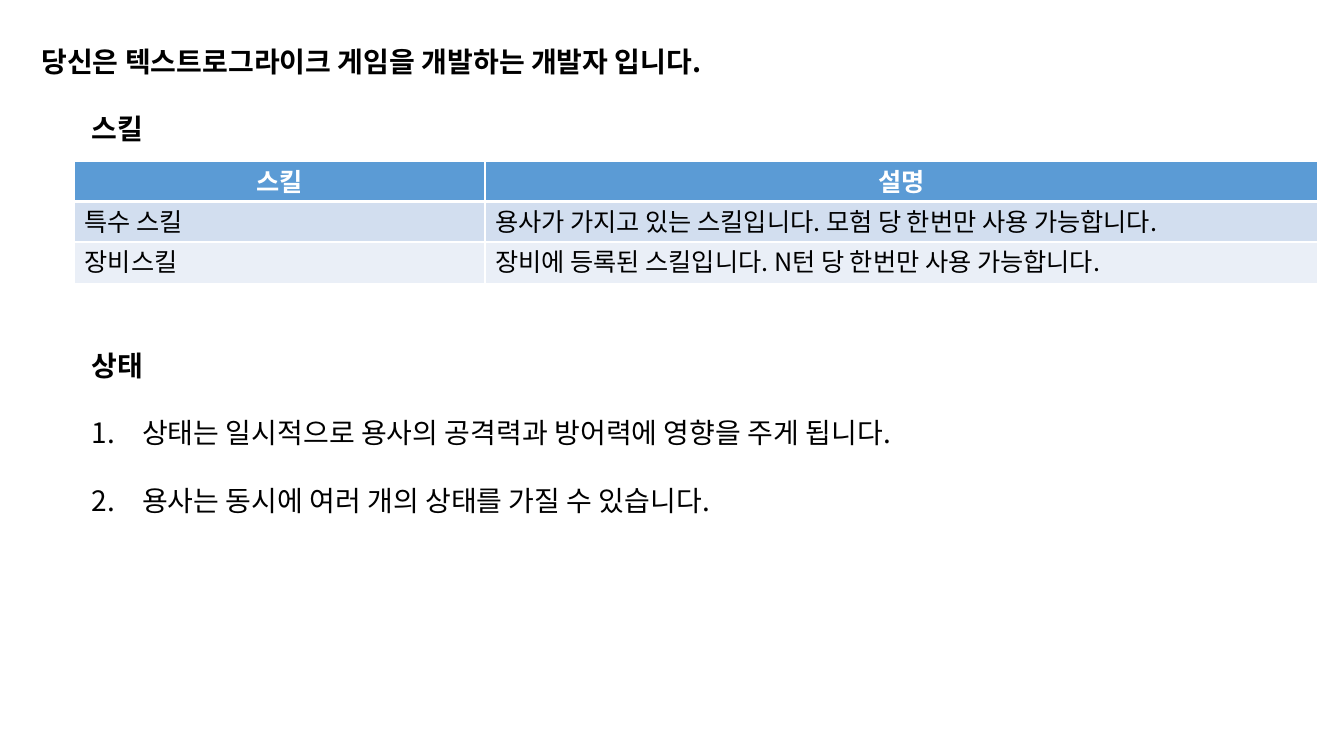
from lxml import etree
from pptx import Presentation
from pptx.dml.color import RGBColor
from pptx.enum.text import MSO_ANCHOR, MSO_AUTO_SIZE, PP_ALIGN
from pptx.oxml.ns import qn
from pptx.util import Pt

PX = 9144  # 100 px to the inch
FONT = "Noto Sans CJK KR"
TOP, NO_FIT = MSO_ANCHOR.TOP, MSO_AUTO_SIZE.NONE
LEFT, CENTER = PP_ALIGN.LEFT, PP_ALIGN.CENTER
BLACK, WHITE, BLUE = "000000", "FFFFFF", "5B9BD5"
BANDS = ("D2DEEF", "EAEFF7")

SKILLS = (
    ("스킬", "설명"),
    ("특수 스킬", "용사가 가지고 있는 스킬입니다. 모험 당 한번만 사용 가능합니다."),
    ("장비스킬", "장비에 등록된 스킬입니다. N턴 당 한번만 사용 가능합니다."),
)
STATES = (
    "상태는 일시적으로 용사의 공격력과 방어력에 영향을 주게 됩니다.",
    "용사는 동시에 여러 개의 상태를 가질 수 있습니다.",
)


def px(n):
    return n * PX


def color(code):
    return RGBColor.from_string(code)


def add_run(para, text, size, bold=False, ink=BLACK):
    run = para.add_run()
    run.text = text
    font = run.font
    font.size, font.bold, font.name = Pt(size), bold, FONT
    font.color.rgb = color(ink)
    east = etree.SubElement(run._r.get_or_add_rPr(), qn("a:ea"))
    east.set("typeface", FONT)


def fill_box(box, at, lines):
    """Place a placeholder and write its (text, bold, margin, numbered) lines."""
    box.left, box.top, box.width, box.height = map(px, at)
    frame = box.text_frame
    frame.word_wrap, frame.auto_size = True, NO_FIT
    frame.vertical_anchor = TOP
    for i, (text, bold, margin, numbered) in enumerate(lines):
        para = frame.paragraphs[0] if i == 0 else frame.add_paragraph()
        para.alignment, para.line_spacing = LEFT, Pt(24)
        para.space_before = Pt(24 if i else 0)
        props = para._p.get_or_add_pPr()
        props.set("marL", str(px(margin)))
        props.set("indent", str(px(-50 if numbered else 0)))
        if numbered:
            etree.SubElement(props, qn("a:buFont")).set("typeface", FONT)
            mark = etree.SubElement(props, qn("a:buAutoNum"))
            mark.set("type", "arabicPeriod")
        else:
            etree.SubElement(props, qn("a:buNone"))
        add_run(para, text, 20, bold)


def add_edges(cell, widths):
    """Draw white borders; widths are points for left, right, top, bottom."""
    props = cell._tc.get_or_add_tcPr()
    for i, (side, width) in enumerate(zip("LRTB", widths)):
        edge = etree.Element(qn(f"a:ln{side}"), w=str(Pt(width)))
        fill = etree.SubElement(edge, qn("a:solidFill"))
        etree.SubElement(fill, qn("a:srgbClr")).set("val", WHITE)
        props.insert(i, edge)


def add_grid(slide, at, cols, rows, data):
    shape = slide.shapes.add_table(len(rows), len(cols), *map(px, at))
    table = shape.table
    for col, width in zip(table.columns, cols):
        col.width = px(width)
    for r, (row, height) in enumerate(zip(table.rows, rows)):
        row.height = px(height)
        head = r == 0
        for cell, text in zip(row.cells, data[r]):
            cell.margin_top, cell.margin_bottom = px(7), px(3)
            cell.fill.solid()
            cell.fill.fore_color.rgb = color(BLUE if head else BANDS[(r - 1) % 2])
            add_edges(cell, (1, 1, 3 if r == 1 else 1, 3 if head else 1))
            para = cell.text_frame.paragraphs[0]
            para.alignment = CENTER if head else LEFT
            para.line_spacing = Pt(21.6)
            add_run(para, text, 18, head, WHITE if head else BLACK)


def main():
    deck = Presentation()
    deck.slide_width, deck.slide_height = px(1333), px(750)
    slide = deck.slides.add_slide(deck.slide_layouts[1])
    title, body = slide.placeholders
    fill_box(title, (31, 39, 1276, 178), (
        ("당신은 텍스트로그라이크 게임을 개발하는 개발자 입니다.", True, 0, False),
        ("스킬", True, 50, False),
    ))
    add_grid(slide, (74, 160, 1233, 121), (407, 826), (40, 40, 41), SKILLS)
    fill_box(body, (31, 341, 1248, 178), [
        ("상태", True, 50, False),
        *((text, False, 100, True) for text in STATES),
    ])
    deck.save("out.pptx")


if __name__ == "__main__":
    main()
